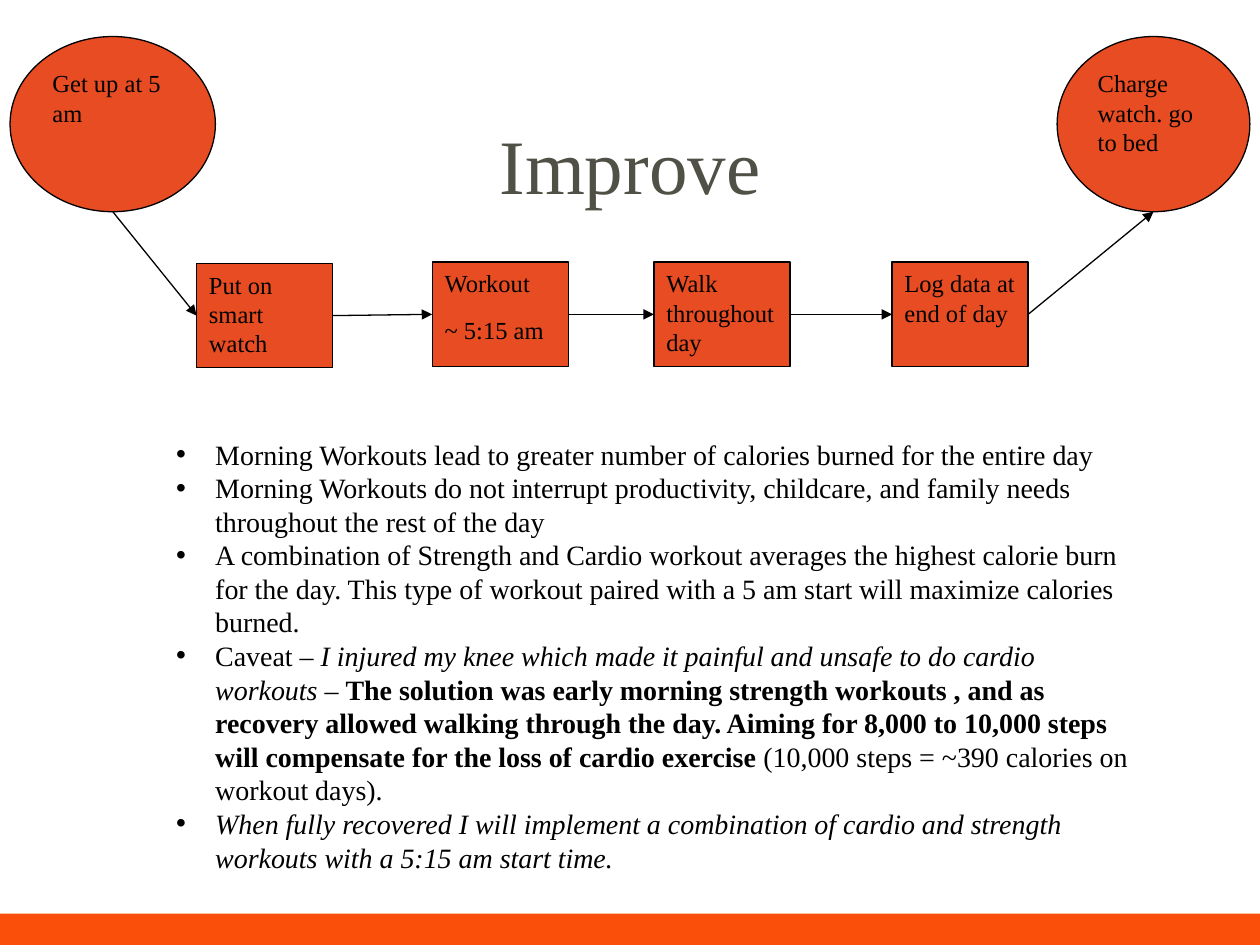
from dataclasses import dataclass
from lxml.etree import SubElement
from pptx import Presentation
from pptx.dml.color import RGBColor
from pptx.enum.shapes import MSO_CONNECTOR as Link, MSO_SHAPE as Kind
from pptx.enum.text import MSO_ANCHOR as Anchor, PP_ALIGN as Align
from pptx.oxml.ns import qn
from pptx.util import Inches, Pt

FONT = "Times New Roman"
BLACK, RED, ORANGE, GREY = "000000", "E84C22", "FA4F0A", "505046"
Point = tuple[float, float]


@dataclass
class Step:
    kind: Kind
    left: float
    top: float
    width: float
    height: float
    lines: tuple[str, ...]

    def spot(self, across: float, down: float) -> Point:
        return self.left + across * self.width, self.top + down * self.height


@dataclass
class Span:
    text: str
    bold: bool = False
    slant: bool = False


def box(left: float, top: float, width: float, height: float) -> tuple:
    return Inches(left), Inches(top), Inches(width), Inches(height)


def tint(target, code: str) -> None:
    target.rgb = RGBColor.from_string(code)


def paint(shape, code: str) -> None:
    shape.shadow.inherit = False
    shape.fill.solid()
    tint(shape.fill.fore_color, code)


def write(para, span: Span, size: float, code: str = BLACK) -> None:
    run = para.add_run()
    run.text = span.text
    font = run.font
    font.name, font.size = FONT, Pt(size)
    font.bold, font.italic = span.bold, span.slant
    tint(font.color, code)


def add_step(slide, step: Step) -> None:
    shape = slide.shapes.add_shape(
        step.kind, *box(step.left, step.top, step.width, step.height))
    paint(shape, RED)
    tint(shape.line.color, BLACK)
    shape.line.width = Pt(0.75)
    frame = shape.text_frame
    frame.word_wrap = True
    frame.vertical_anchor = Anchor.TOP
    for index, line in enumerate(step.lines):
        para = frame.add_paragraph() if index else frame.paragraphs[0]
        para.alignment = Align.LEFT
        if index:
            para.space_before = Pt(10)
        write(para, Span(line), 14)


def add_arrow(slide, start: Point, end: Point) -> None:
    arrow = slide.shapes.add_connector(Link.STRAIGHT, *box(*start, *end))
    tint(arrow.line.color, BLACK)
    arrow.line.width = Pt(0.75)
    SubElement(arrow.line._get_or_add_ln(), qn("a:tailEnd"), type="triangle")
    SubElement(arrow._element.spPr, qn("a:effectLst"))


def add_point(para, spans: list[Span]) -> None:
    props = para._p.get_or_add_pPr()
    props.set("marL", str(Inches(0.31)))
    props.set("indent", str(Inches(-0.31)))
    SubElement(props, qn("a:buFont"), typeface="Arial")
    SubElement(props, qn("a:buChar"), char="•")
    for span in spans:
        write(para, span, 16)


STEPS = [
    Step(Kind.OVAL, 0.08, 0.29, 1.63, 1.39, ("Get up at 5 am",)),
    Step(Kind.RECTANGLE, 1.56, 2.09, 1.08, 0.83, ("Put on smart watch",)),
    Step(Kind.RECTANGLE, 3.43, 2.08, 1.08, 0.83, ("Workout", "~ 5:15 am")),
    Step(Kind.RECTANGLE, 5.19, 2.08, 1.08, 0.83, ("Walk throughout day",)),
    Step(Kind.RECTANGLE, 7.08, 2.08, 1.08, 0.83, ("Log data at end of day",)),
    Step(Kind.OVAL, 8.39, 0.29, 1.53, 1.39, ("Charge watch. go to bed",)),
]

POINTS = [
    [Span("Morning Workouts lead to greater number of calories burned "
          "for the entire day")],
    [Span("Morning Workouts do not interrupt productivity, childcare, and "
          "family needs throughout the rest of the day")],
    [Span("A combination of Strength and Cardio workout averages the highest "
          "calorie burn for the day. This type of workout paired with a 5 am "
          "start will maximize calories burned.")],
    [Span("Caveat – "),
     Span("I injured my knee which made it painful and unsafe to do cardio "
          "workouts – ", slant=True),
     Span("The solution was early morning strength workouts , and as recovery "
          "allowed walking through the day. Aiming for 8,000 to 10,000 steps "
          "will compensate for the loss of cardio exercise ", bold=True),
     Span("(10,000 steps = ~390 calories on workout days).")],
    [Span("When fully recovered I will implement a combination of cardio and "
          "strength workouts with a 5:15 am start time.", slant=True)],
]


def main() -> None:
    deck = Presentation()
    deck.slide_width, deck.slide_height = Inches(10), Inches(7.5)
    slide = deck.slides.add_slide(deck.slide_layouts[6])

    band = slide.shapes.add_shape(Kind.RECTANGLE, *box(0, 7.25, 10, 0.25))
    paint(band, ORANGE)
    band.line.fill.background()

    title = slide.shapes.add_textbox(*box(0.75, 0.67, 8.5, 1.25)).text_frame
    title.word_wrap = True
    title.vertical_anchor = Anchor.MIDDLE
    title.paragraphs[0].alignment = Align.CENTER
    write(title.paragraphs[0], Span("Improve"), 44, GREY)

    for step in STEPS:
        add_step(slide, step)
    base, west, east = (0.5, 1), (0, 0.5), (1, 0.5)
    first, *tasks, last = STEPS
    add_arrow(slide, first.spot(*base), tasks[0].spot(*west))
    for start, end in zip(tasks, tasks[1:]):
        add_arrow(slide, start.spot(*east), end.spot(*west))
    add_arrow(slide, tasks[-1].spot(*east), last.spot(*base))

    body = slide.shapes.add_textbox(*box(1.3, 3.42, 7.78, 3.6)).text_frame
    body.word_wrap = True
    for index, spans in enumerate(POINTS):
        para = body.add_paragraph() if index else body.paragraphs[0]
        add_point(para, spans)

    deck.save("out.pptx")


if __name__ == "__main__":
    main()
